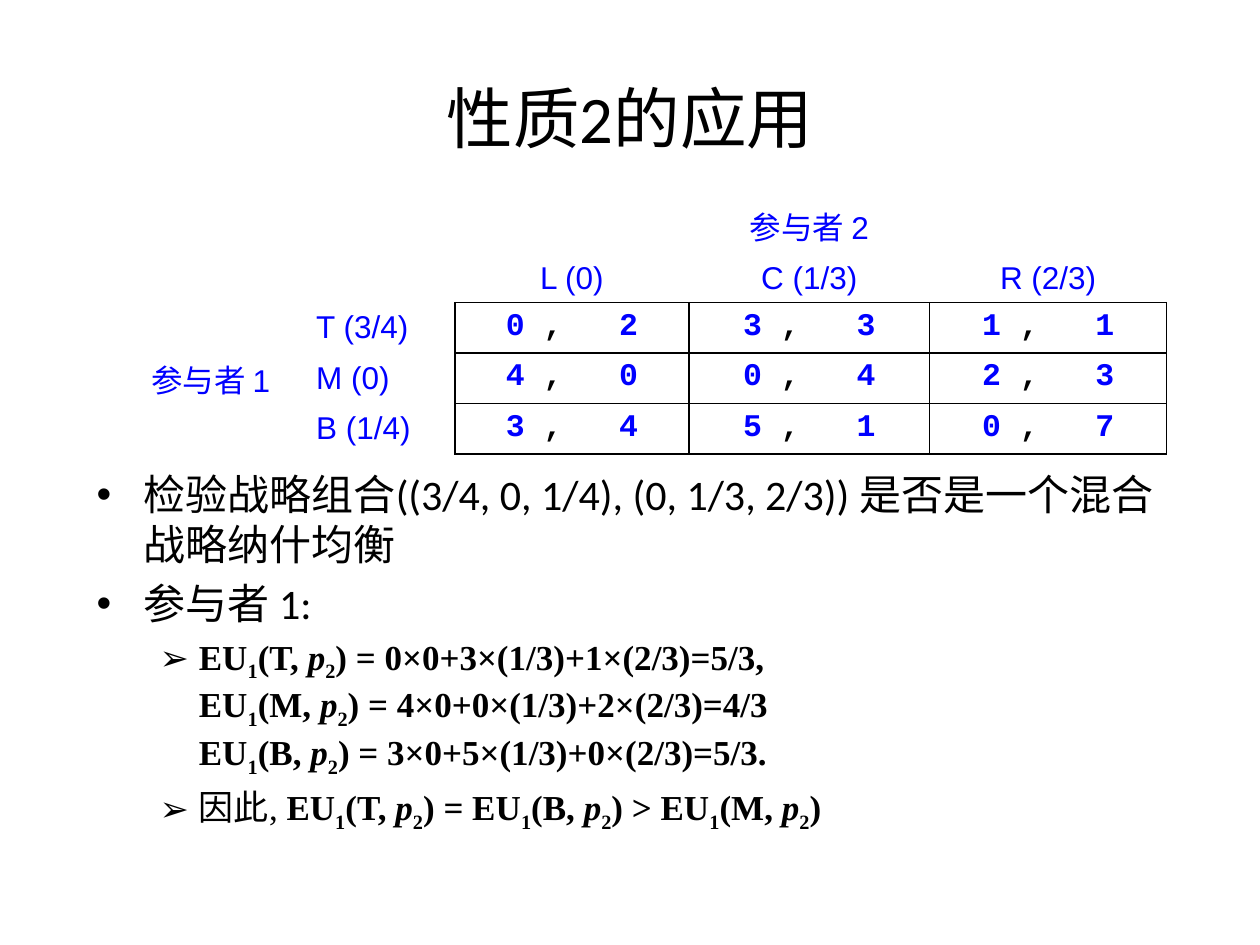
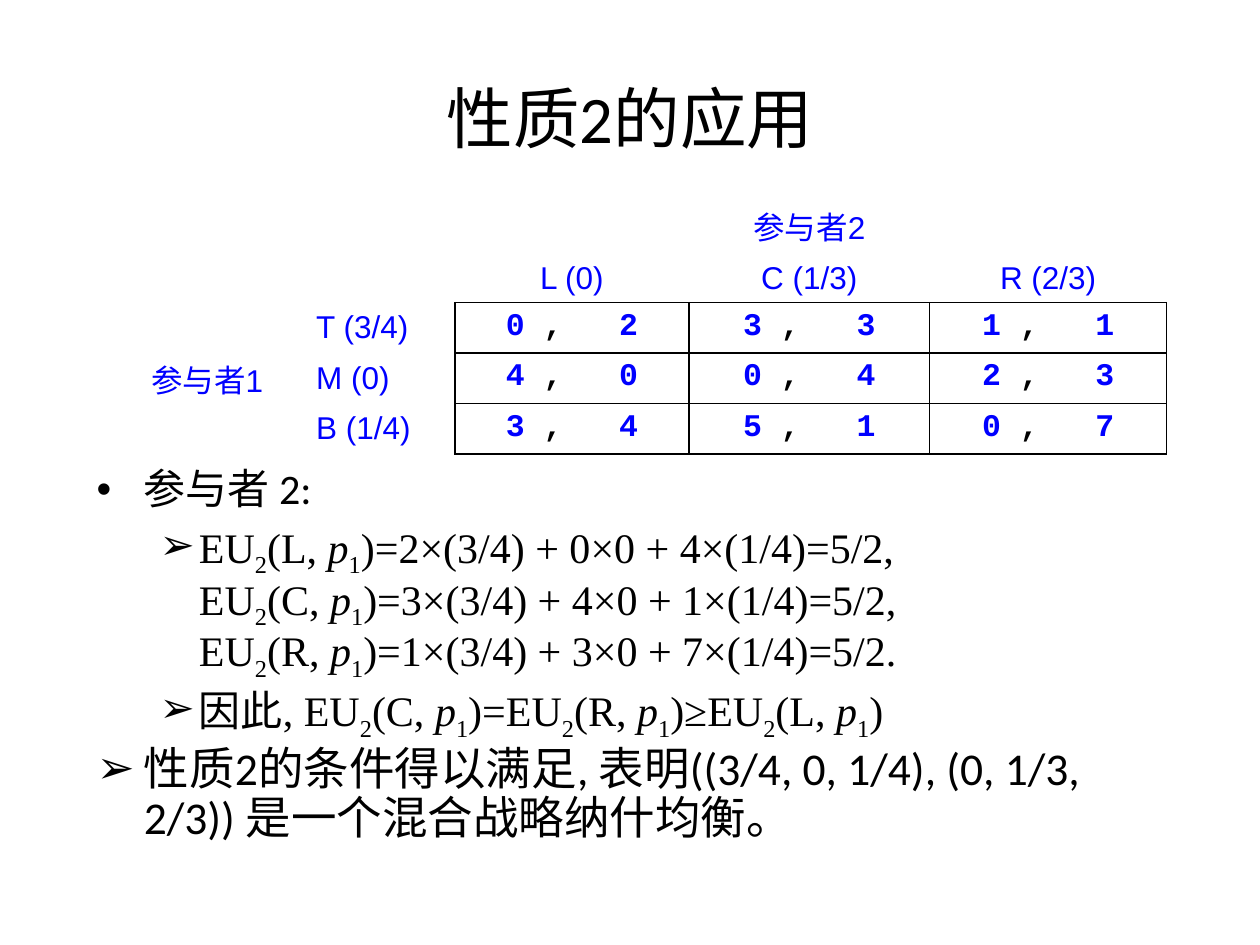
from dataclasses import dataclass
from typing import Optional

from lxml.etree import SubElement
from pptx import Presentation
from pptx.dml.color import RGBColor
from pptx.enum.text import MSO_ANCHOR, PP_ALIGN
from pptx.oxml import parse_xml
from pptx.oxml.ns import nsdecls, qn
from pptx.util import Cm, Pt

COLORS = {"text": "000000", "game": "0000FF", "border": "000000"}
TITLE = "性质2的应用"
PROFILE = "((3/4, 0, 1/4), (0, 1/3, 2/3))"
COLUMN_WIDTHS = [3.33, 3.05, 4.72, 4.85, 4.78]
ROW_HEIGHTS = [1.07, 1.07, 0.98, 0.98, 0.98]
COLUMN_STRATEGIES = ["L (0)", "C (1/3)", "R (2/3)"]
ROW_STRATEGIES = ["T (3/4)", "M (0)", "B (1/4)"]
PAYOFFS = [
    [(0, 2), (3, 3), (1, 1)],
    [(4, 0), (0, 4), (2, 3)],
    [(3, 4), (5, 1), (0, 7)],
]
FIRST_PAYOFF = 2
SIDES = {"lnL": (0, -1), "lnR": (0, 1), "lnT": (-1, 0), "lnB": (1, 0)}


@dataclass(frozen=True)
class Run:
    text: str
    italic: bool = False
    subscript: bool = False
    bold: Optional[bool] = None


@dataclass(frozen=True)
class Item:
    runs: list[Run]
    size: int = 24
    font: str = "Calibri"
    level: int = 0
    bullet: str = "•"
    bold: bool = False


@dataclass(frozen=True)
class Indent:
    left: float
    hanging: float


@dataclass(frozen=True)
class GameSlide:
    player_labels: tuple[str, str]
    items: list[Item]
    line_spacing: float


INDENTS = [Indent(0.95, 0.95), Indent(2.06, 0.79)]
LINE_BREAK = Run("\n")


def expected_utility(player: int, strategy: str) -> list[Run]:
    return [
        Run("EU"),
        Run(str(player), subscript=True),
        Run(f"({strategy}, "),
        Run("p", italic=True),
        Run(str(3 - player), subscript=True),
        Run(")"),
    ]


def equations(player: int, results: dict[str, str]) -> list[Run]:
    runs = []
    for strategy, result in results.items():
        if runs:
            runs.append(LINE_BREAK)
        runs += [*expected_utility(player, strategy), Run(result)]
    return runs


def comparison(player: int, strategies: str, relations: list[str],
               lead_bold: Optional[bool] = None) -> list[Run]:
    runs = [Run("因此, ", bold=lead_bold)]
    for strategy, relation in zip(strategies, [*relations, ""]):
        runs += expected_utility(player, strategy)
        if relation:
            runs.append(Run(relation))
    return runs


def style_paragraph(paragraph, size: int, name: str, color: str, bold: bool = False) -> None:
    paragraph.font.size = Pt(size)
    paragraph.font.name = name
    paragraph.font.bold = bold
    paragraph.font.color.rgb = RGBColor.from_string(COLORS[color])


def add_run(paragraph, run: Run) -> None:
    if run == LINE_BREAK:
        paragraph.add_line_break()
        return
    text_run = paragraph.add_run()
    text_run.text = run.text
    if run.italic:
        text_run.font.italic = True
    if run.bold is not None:
        text_run.font.bold = run.bold
    if run.subscript:
        text_run._r.get_or_add_rPr().set("baseline", "-25000")


def add_title(slide) -> None:
    frame = slide.shapes.add_textbox(Cm(1.27), Cm(0.76), Cm(22.86), Cm(3.18)).text_frame
    frame.word_wrap = True
    frame.vertical_anchor = MSO_ANCHOR.MIDDLE
    paragraph = frame.paragraphs[0]
    paragraph.text = TITLE
    paragraph.alignment = PP_ALIGN.CENTER
    style_paragraph(paragraph, 38, "Calibri", "text")


def add_body(slide, items: list[Item], line_spacing: float) -> None:
    frame = slide.shapes.add_textbox(Cm(1.7), Cm(9.32), Cm(22), Cm(7.59)).text_frame
    frame.word_wrap = True
    for index, item in enumerate(items):
        paragraph = frame.add_paragraph() if index else frame.paragraphs[0]
        paragraph.level = item.level
        paragraph.line_spacing = line_spacing
        if index:
            paragraph.space_before = Pt(0.2 * item.size)
        indent = INDENTS[item.level]
        properties = paragraph._p.get_or_add_pPr()
        properties.set("marL", str(Cm(indent.left)))
        properties.set("indent", str(-Cm(indent.hanging)))
        SubElement(properties, qn("a:buFont")).set("typeface", "Arial")
        SubElement(properties, qn("a:buChar")).set("char", item.bullet)
        style_paragraph(paragraph, item.size, item.font, "text", item.bold)
        for run in item.runs:
            add_run(paragraph, run)


def is_payoff(row: int, column: int) -> bool:
    return (FIRST_PAYOFF <= row < len(ROW_HEIGHTS)
            and FIRST_PAYOFF <= column < len(COLUMN_WIDTHS))


def set_borders(cell, row: int, column: int) -> None:
    properties = cell._tc.get_or_add_tcPr()
    for position, (side, (down, right)) in enumerate(SIDES.items()):
        visible = is_payoff(row, column) or is_payoff(row + down, column + right)
        fill = (f'<a:solidFill><a:srgbClr val="{COLORS["border"]}"/></a:solidFill>'
                if visible else "<a:noFill/>")
        line = parse_xml(f'<a:{side} {nsdecls("a")} w="{Pt(1)}">{fill}</a:{side}>')
        properties.insert(position, line)


def write_label(cell, text: str, anchor: MSO_ANCHOR, alignment: PP_ALIGN) -> None:
    cell.vertical_anchor = anchor
    paragraph = cell.text_frame.paragraphs[0]
    paragraph.text = text
    paragraph.alignment = alignment
    style_paragraph(paragraph, 18, "Arial", "game")


def write_payoff(cell, payoff: tuple[int, int]) -> None:
    paragraph = cell.text_frame.paragraphs[0]
    paragraph.alignment = PP_ALIGN.CENTER
    style_paragraph(paragraph, 18, "Courier New", "game", bold=True)
    for text in (str(payoff[0]), " ,", " ", str(payoff[1])):
        text_run = paragraph.add_run()
        text_run.text = text
        if text == " ,":
            text_run.font.color.rgb = RGBColor.from_string(COLORS["text"])
        if text == " ":
            text_run._r.get_or_add_rPr().set("spc", "2160")


def add_game(slide, player_labels: tuple[str, str]) -> None:
    table = slide.shapes.add_table(
        len(ROW_HEIGHTS), len(COLUMN_WIDTHS), Cm(2.79), Cm(3.96),
        Cm(sum(COLUMN_WIDTHS)), Cm(sum(ROW_HEIGHTS))).table
    table.first_row = False
    table.horz_banding = False
    for column, width in zip(table.columns, COLUMN_WIDTHS):
        column.width = Cm(width)
    for row, height in zip(table.rows, ROW_HEIGHTS):
        row.height = Cm(height)
    for row in range(len(ROW_HEIGHTS)):
        for column in range(len(COLUMN_WIDTHS)):
            cell = table.cell(row, column)
            cell.fill.background()
            set_borders(cell, row, column)
    table.cell(2, 0).merge(table.cell(4, 0))
    write_label(table.cell(2, 0), player_labels[0], MSO_ANCHOR.MIDDLE, PP_ALIGN.LEFT)
    write_label(table.cell(0, 3), player_labels[1], MSO_ANCHOR.BOTTOM, PP_ALIGN.CENTER)
    for column, strategy in enumerate(COLUMN_STRATEGIES, FIRST_PAYOFF):
        write_label(table.cell(1, column), strategy, MSO_ANCHOR.BOTTOM, PP_ALIGN.CENTER)
    for row, (strategy, payoffs) in enumerate(zip(ROW_STRATEGIES, PAYOFFS), FIRST_PAYOFF):
        write_label(table.cell(row, 1), strategy, MSO_ANCHOR.MIDDLE, PP_ALIGN.LEFT)
        for column, payoff in enumerate(payoffs, FIRST_PAYOFF):
            write_payoff(table.cell(row, column), payoff)


def equation_item(runs: list[Run], size: int, bold: bool = False) -> Item:
    return Item(runs, size, "Times New Roman", 1, "➢", bold)


GAME_SLIDES = [
    GameSlide(("参与者 1", "参与者 2"), [
        Item([Run(f"检验战略组合{PROFILE} 是否是一个混合战略纳什均衡")]),
        Item([Run("参与者 1:")]),
        equation_item(equations(1, {
            "T": " = 0×0+3×(1/3)+1×(2/3)=5/3,",
            "M": " = 4×0+0×(1/3)+2×(2/3)=4/3",
            "B": " = 3×0+5×(1/3)+0×(2/3)=5/3.",
        }), 20, bold=True),
        equation_item(comparison(1, "TBM", [" = ", " > "], lead_bold=False), 20, bold=True),
    ], 1.0),
    GameSlide(("参与者1", "参与者2"), [
        Item([Run("参与者 2:")]),
        equation_item(equations(2, {
            "L": "=2×(3/4) + 0×0 + 4×(1/4)=5/2,",
            "C": "=3×(3/4) + 4×0 + 1×(1/4)=5/2,",
            "R": "=1×(3/4) + 3×0 + 7×(1/4)=5/2.",
        }), 24),
        equation_item(comparison(2, "CRL", ["=", "≥"]), 24),
        Item([Run(f"性质2的条件得以满足, 表明{PROFILE} 是一个混合战略纳什均衡。")],
             size=26, bullet="➢"),
    ], 0.9),
]


def main() -> None:
    presentation = Presentation()
    presentation.slide_width = Cm(25.4)
    presentation.slide_height = Cm(19.05)
    for game_slide in GAME_SLIDES:
        slide = presentation.slides.add_slide(presentation.slide_layouts[6])
        add_title(slide)
        add_body(slide, game_slide.items, game_slide.line_spacing)
        add_game(slide, game_slide.player_labels)
    presentation.save("out.pptx")


if __name__ == "__main__":
    main()
